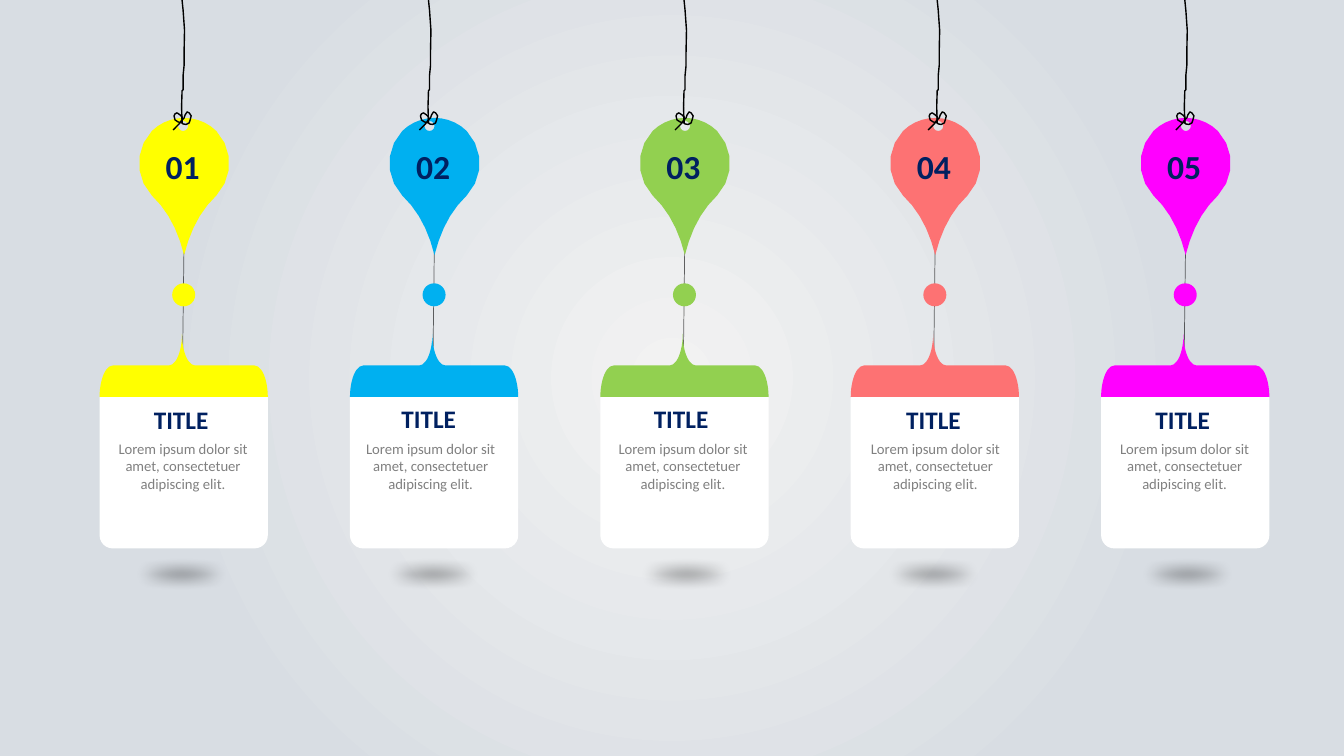
from dataclasses import dataclass
from math import cos, pi, sin

from lxml.etree import SubElement
from pptx import Presentation
from pptx.dml.color import RGBColor
from pptx.enum.shapes import MSO_CONNECTOR, MSO_SHAPE
from pptx.enum.text import MSO_AUTO_SIZE, PP_ALIGN
from pptx.oxml.ns import qn
from pptx.util import Cm, Pt


@dataclass
class Theme:
    font: str = "Calibri"
    navy: str = "002060"
    grey: str = "808080"
    black: str = "000000"
    white: str = "FFFFFF"
    inner: str = "F2F2F2"
    outer: str = "D8DDE3"
    hues: tuple = ("FFFF00", "00B0F0", "92D050", "FD7273", "FF00FF")
    big: float = 24
    head: float = 18
    text: float = 10.5


def trace(knots):
    """Turn a chain of Bezier knots into a few points per curve."""
    dots = [knots[0]]
    for k in range(0, len(knots) - 1, 3):
        for t in (0.2, 0.4, 0.6, 0.8, 1):
            mix = ((1 - t) ** 3, 3 * t * (1 - t) ** 2, 3 * t * t * (1 - t), t ** 3)
            dots.append(tuple(sum(m * p[axis] for m, p in zip(mix, knots[k:k + 4]))
                              for axis in (0, 1)))
    return dots


def fade(shape, share):
    """Make the colour of a shape partly transparent."""
    colour = next(shape.element.spPr.iter(qn("a:srgbClr")))
    SubElement(colour, qn("a:alpha"), val=str(share * 1000))


theme = Theme()

# Outlines in hundredths of an inch, around the pin axis or the string
half = [(0, 117), (11, 117), (23, 121), (32, 130), (49, 148), (49, 176), (32, 194),
        (16, 209), (6, 229), (0, 253)]
pin = trace(half + [(-x, y) for x, y in half[-2::-1]])
hole = [(1 + 5 * cos(n * pi / 6), 125 - 5 * sin(n * pi / 6)) for n in range(12)]
string = [(0, 122), (-0.5, 106), (0, 90), (1, 89), (1, 75), (2, 65), (2, 52),
          (2.4, 30), (1, 10), (0, 0)]
bow = [(0, 122), (-4, 121), (-7, 119), (-8, 115), (-7, 113), (-5, 112), (-2, 114),
       (0, 116), (0, 122), (1, 123), (4, 123.5), (7, 122), (8, 119), (9, 115),
       (7, 112), (5, 111), (3, 114), (2, 117), (-1, 120), (-3, 123), (-6, 126),
       (-9, 129)]

# Slide and round background gradient
deck = Presentation()
deck.slide_width, deck.slide_height = Cm(33.87), Cm(19.05)
slide = deck.slides.add_slide(deck.slide_layouts[6])
back = slide.background.fill
back.gradient()
for stop, place, colour in zip(back.gradient_stops, (0, 0.68), (theme.inner, theme.outer)):
    stop.position = place
    stop.color.rgb = RGBColor.from_string(colour)
lin = next(slide.element.iter(qn("a:lin")))
ring = SubElement(lin.getparent(), qn("a:path"), path="circle")
SubElement(ring, qn("a:fillToRect"), l="50000", t="50000", r="50000", b="50000")
lin.getparent().remove(lin)

# Hand-placed offsets from the left edge of each card, in cm
ropes = (2.08, 1.98, 2.11, 2.18, 2.11)
heads = (0.43, 0.36, 0.41, 0.46, 0.43)
shades = (-0.05, -0.03, 0.05, -0.03, 0.05)

for i, (hue, rope, head, shade) in enumerate(zip(theme.hues, ropes, heads, shades)):
    left = 2.51 + 6.31 * i
    axis = left + 2.13
    shapes = slide.shapes.add_group_shape().shapes

    # Thread between pin and card
    thread = shapes.add_connector(MSO_CONNECTOR.STRAIGHT, Cm(axis - 0.04), Cm(9.19),
                                  Cm(axis), Cm(5.94))
    thread.line.color.rgb = RGBColor.from_string(theme.black)
    thread.line.width = Pt(0.5)
    fade(thread, 60)
    SubElement(thread.element.spPr, qn("a:effectLst"))

    # Card cap, card, bead and floor shadow
    for kind, x, y, wide, high, turn, bends, colour in (
            (MSO_SHAPE.RIGHT_BRACE, left + 1.32, 7.09, 1.6, 4.24, 270, (0.208, 0.49), hue),
            (MSO_SHAPE.ROUND_2_SAME_RECTANGLE, left, 10.01, 4.24, 3.81, 0, (0, 0.087),
             theme.white),
            (MSO_SHAPE.OVAL, left + 1.83, 7.14, 0.58, 0.58, 0, (), hue),
            (MSO_SHAPE.OVAL, left + shade, 14.02, 4.24, 0.89, 0, (), theme.black)):
        solid = shapes.add_shape(kind, Cm(x), Cm(y), Cm(wide), Cm(high))
        solid.rotation = turn
        for n, bend in enumerate(bends):
            solid.adjustments[n] = bend
        solid.fill.solid()
        solid.fill.fore_color.rgb = RGBColor.from_string(colour)
        solid.line.fill.background()
        solid.shadow.inherit = False
    fade(solid, 56)
    blur = solid.element.spPr.find(qn("a:effectLst"))
    SubElement(blur, qn("a:softEdge"), rad=str(Pt(10)))

    # Pin with its hole, then string and bow
    shift = (rope - 2.13) / 0.0254
    eye = [(x + shift, y) for x, y in hole]
    for rings, x in (((pin, eye), axis), ((string,), left + rope), ((bow,), left + rope)):
        shut = rings[0] is pin
        form = None
        for dots in rings:
            dots = [(px * 100, py * 100) for px, py in dots]
            if form is None:
                form = shapes.build_freeform(*dots[0], scale=Cm(2.54) / 10000)
            else:
                form.move_to(*dots[0])
            form.add_line_segments(dots[1:], close=shut)
        shape = form.convert_to_shape(Cm(x), 0)
        shape.shadow.inherit = False
        if shut:
            shape.fill.solid()
            shape.fill.fore_color.rgb = RGBColor.from_string(hue)
            shape.line.fill.background()
        else:
            shape.fill.background()
            shape.line.color.rgb = RGBColor.from_string(theme.black)
            shape.line.width = Pt(1)

    # Number, title and body
    for words, x, y, wide, high, size, colour, bold in (
            (f"{i + 1:02}", left + 1.04, 3.56, 2.11, 1.27, theme.big, theme.navy, True),
            ("TITLE", left + head, 10.03 if i in (1, 2) else 10.06, 3.25, 1.02,
             theme.head, theme.navy, True),
            ("Lorem ipsum dolor sit amet, consectetuer adipiscing elit.",
             left + head - 0.28, 10.95, 3.91, 1.6, theme.text, theme.grey, False)):
        frame = shapes.add_textbox(Cm(x), Cm(y), Cm(wide), Cm(high)).text_frame
        frame.word_wrap = True
        frame.auto_size = MSO_AUTO_SIZE.SHAPE_TO_FIT_TEXT
        line = frame.paragraphs[0]
        line.alignment = PP_ALIGN.CENTER
        run = line.add_run()
        run.text = words
        run.font.name = theme.font
        run.font.size = Pt(size)
        run.font.bold = bold
        run.font.color.rgb = RGBColor.from_string(colour)

deck.save("out.pptx")
